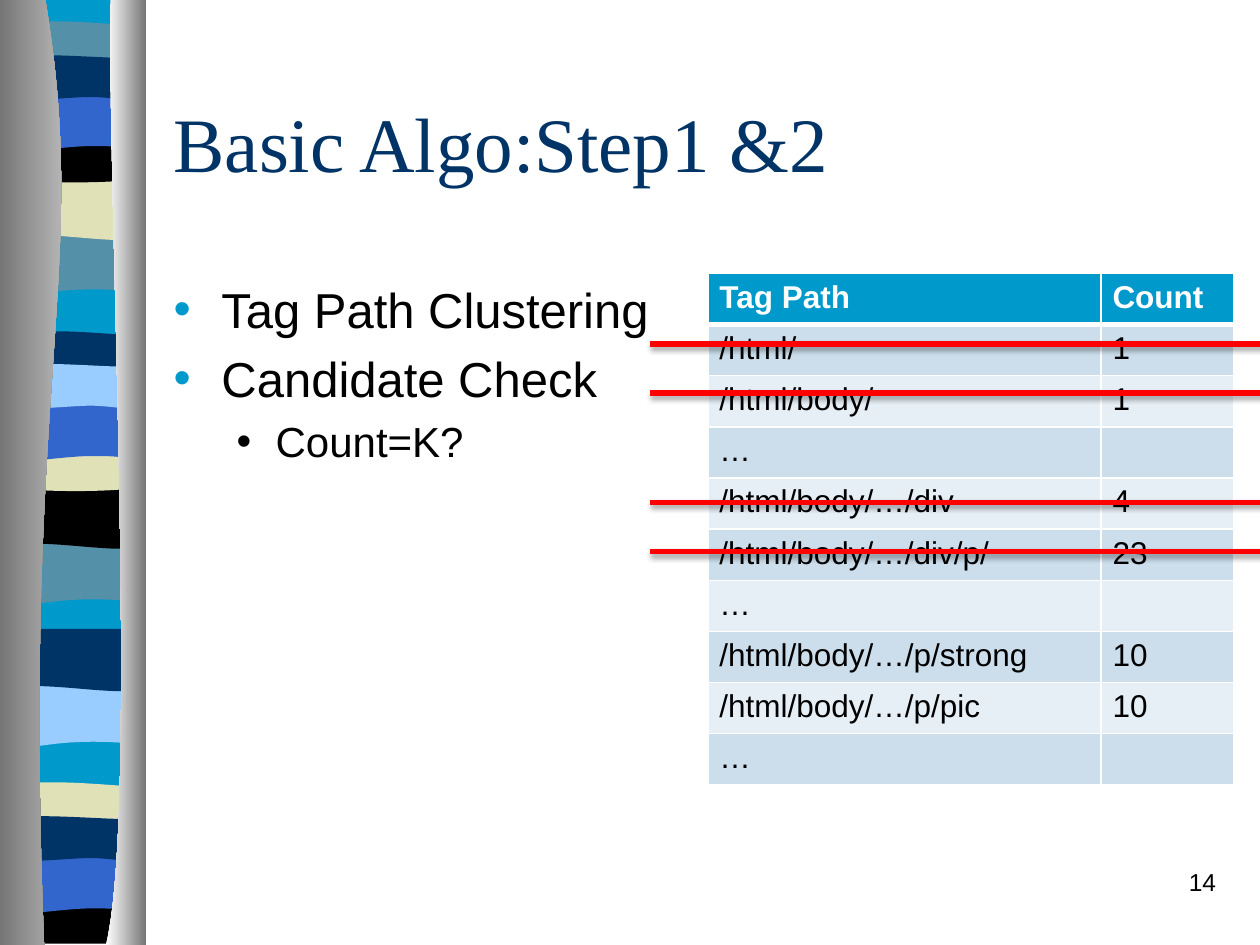
from lxml import etree
from pptx import Presentation
from pptx.dml.color import RGBColor
from pptx.enum.shapes import MSO_CONNECTOR
from pptx.enum.text import MSO_ANCHOR, PP_ALIGN
from pptx.oxml.ns import qn
from pptx.util import Inches, Pt

STRAIGHT = MSO_CONNECTOR.STRAIGHT
MIDDLE = MSO_ANCHOR.MIDDLE
TOP = MSO_ANCHOR.TOP
LEFT = PP_ALIGN.LEFT
RIGHT = PP_ALIGN.RIGHT

BLACK = RGBColor(0x00, 0x00, 0x00)
WHITE = RGBColor(0xFF, 0xFF, 0xFF)
NAVY = RGBColor(0x00, 0x33, 0x66)
CYAN = RGBColor(0x00, 0x99, 0xCC)
TEAL = RGBColor(0x54, 0x90, 0xA8)
SAND = RGBColor(0xE1, 0xE1, 0xB7)
BLUE = RGBColor(0x33, 0x66, 0xCC)
SKY = RGBColor(0x99, 0xCC, 0xFF)
RED = RGBColor(0xFF, 0x00, 0x00)
DARK_GRAY = RGBColor(0x76, 0x76, 0x76)
LIGHT_GRAY = RGBColor(0xD1, 0xD1, 0xD1)
ROW_DARK = RGBColor(0xCC, 0xDE, 0xEC)
ROW_LIGHT = RGBColor(0xE7, 0xEF, 0xF6)

OUTLINES = {
    "backing": [[(1.09, 0)], [(1.09, 7.47)], [(0, 7.47)], [(0, 0)]],
    "swoop": [[(1.09, 0)], [(1.09, 0.47)], [(0.34, 0.39), (0.19, 0.55), (0, 0.47)], [(0, 0)]],
    "ripple": [[(1.09, 0)], [(1.09, 0.47)], [(0.91, 0.55), (0.34, 0.41), (0, 0.47)], [(0, 0)]],
    "ledge": [[(1.09, 0.05)], [(1.09, 0.29)], [(0.91, 0.34), (0.19, 0.34), (0, 0.29)], [(0, 0.05)],
              [(0.07, 0), (0.24, 0.01), (0.42, 0.01)], [(0.6, 0.01), (0.95, 0.04), (1.09, 0.05)]],
    "bowl": [[(1.09, 0)], [(1.09, 0.33)], [(0.91, 0.38), (0.19, 0.38), (0, 0.33)], [(0, 0)],
             [(0.66, 0.05), (0.85, 0), (1.09, 0)]],
    "arch": [[(1.09, 0)], [(1.09, 0.47)], [(0.92, 0.42), (0.85, 0.42), (0.67, 0.42)],
             [(0.49, 0.42), (0.17, 0.47), (0, 0.47)], [(0, 0)]],
    "crest": [[(1.09, 0.05)], [(1.09, 0.36)], [(1.02, 0.41), (0.85, 0.36), (0.67, 0.36)],
              [(0.49, 0.36), (0.12, 0.41), (0, 0.36)], [(0, 0.05)],
              [(0.16, 0), (0.74, 0.05), (0.92, 0.05)], [(1.1, 0.05), (1.05, 0.05), (1.09, 0.05)]],
    "base": [[(1.09, 0)], [(1.09, 0.37)], [(0, 0.37)], [(0, 0)],
             [(0.66, 0.05), (0.85, 0), (1.09, 0)]],
}
BANDS = [
    ("backing", 0, CYAN),
    ("swoop", 1.85, TEAL), ("ripple", 1.41, SAND), ("ledge", 0.16, TEAL), ("bowl", 1.08, BLACK),
    ("arch", 0.74, BLUE), ("crest", 0.41, NAVY), ("swoop", 4.31, TEAL), ("ripple", 3.86, BLACK),
    ("ledge", 2.62, NAVY), ("bowl", 3.53, SAND), ("arch", 3.2, BLUE), ("crest", 2.86, SKY),
    ("swoop", 5.44, SKY), ("ripple", 4.99, NAVY), ("ledge", 6.2, SAND), ("base", 7.12, BLACK),
    ("arch", 6.79, BLUE), ("crest", 6.45, NAVY),
]
LEFT_PILLAR = [[(0.36, 0)], [(0.72, 2.16), (0.17, 2.96), (0.35, 7.5)], [(0, 7.5)], [(0, 0)]]
RIGHT_PILLAR = [[(0.88, 0)], [(0.84, 1.25), (1.11, 6.46), (0.84, 7.5)], [(1.16, 7.5)], [(1.16, 0)]]
PILLARS = [(LEFT_PILLAR, (DARK_GRAY, LIGHT_GRAY)), (RIGHT_PILLAR, (WHITE, DARK_GRAY))]

BULLETS = [("Tag Path Clustering", 0, 28, CYAN), ("Candidate Check", 0, 28, CYAN), ("Count=K?", 1, 24, BLACK)]
INDENTS = [(0.38, -0.38), (0.81, -0.31)]
ROWS = [
    ("Tag Path", "Count"), ("/html/", "1"), ("/html/body/", "1"), ("…", ""),
    ("/html/body/…/div", "4"), ("/html/body/…/div/p/", "23"), ("…", ""),
    ("/html/body/…/p/strong", "10"), ("/html/body/…/p/pic", "10"), ("…", ""),
]
STRIKE_OFFSETS = [0.56, 0.95, 2.21, 1.82]


def add_outline(slide, left, top, steps):
    """Add a closed freeform whose one-point steps are lines and three-point steps are curves."""
    points = [(Inches(left + x), Inches(top + y)) for step in steps for x, y in step]
    builder = slide.shapes.build_freeform(*points[0], scale=1.0)
    builder.add_line_segments(points[1:], close=True)
    shape = builder.convert_to_shape()
    segments = iter(list(shape._element.spPr.iter(qn("a:lnTo"))))
    for step in steps[1:]:
        first, *others = [next(segments) for _ in step]
        if others:
            first.tag = qn("a:cubicBezTo")
            for segment in others:
                first.append(segment[0])
                segment.getparent().remove(segment)
    shape.shadow.inherit = False
    shape.line.fill.background()
    return shape


def add_ribbon(slide, left, top):
    """Add the striped ribbon between its two shaded pillars."""
    for outline, offset, color in BANDS:
        band = add_outline(slide, left + 0.05, top + offset, OUTLINES[outline])
        band.fill.solid()
        band.fill.fore_color.rgb = color
    for steps, colors in PILLARS:
        pillar = add_outline(slide, left, top, steps)
        pillar.fill.gradient()
        pillar.fill.gradient_angle = 0
        for stop, color in zip(pillar.fill.gradient_stops, colors):
            stop.color.rgb = color


def style(paragraph, size, color, name="Arial", bold=False):
    """Set the font of a paragraph."""
    font = paragraph.font
    font.size, font.name, font.bold = Pt(size), name, bold
    font.color.rgb = color


def add_text(slide, box, text, size, color, name="Arial", anchor=TOP, alignment=LEFT):
    """Add a wrapped text box holding one paragraph."""
    frame = slide.shapes.add_textbox(*map(Inches, box)).text_frame
    frame.word_wrap = True
    frame.vertical_anchor = anchor
    paragraph = frame.paragraphs[0]
    paragraph.text = text
    paragraph.alignment = alignment
    style(paragraph, size, color, name)


def add_bullets(slide, box):
    """Add the bulleted list of steps."""
    frame = slide.shapes.add_textbox(*map(Inches, box)).text_frame
    frame.word_wrap = True
    for index, (text, level, size, bullet_color) in enumerate(BULLETS):
        paragraph = frame.add_paragraph() if index else frame.paragraphs[0]
        paragraph.text = text
        paragraph.level = level
        if index:
            paragraph.space_before = Pt(size * 0.2)
        properties = paragraph._p.get_or_add_pPr()
        margin, indent = INDENTS[level]
        properties.set("marL", str(Inches(margin)))
        properties.set("indent", str(Inches(indent)))
        color = etree.SubElement(properties, qn("a:buClr"))
        etree.SubElement(color, qn("a:srgbClr"), val=str(bullet_color))
        etree.SubElement(properties, qn("a:buFont"), typeface="Arial")
        etree.SubElement(properties, qn("a:buChar"), char="•")
        style(paragraph, size, BLACK)


def add_borders(cell, top_width, bottom_width):
    """Draw white borders around a cell."""
    properties = cell._tc.get_or_add_tcPr()
    widths = {"a:lnL": 1, "a:lnR": 1, "a:lnT": top_width, "a:lnB": bottom_width}
    for position, (tag, width) in enumerate(widths.items()):
        line = etree.Element(qn(tag), w=str(Pt(width)))
        fill = etree.SubElement(line, qn("a:solidFill"))
        etree.SubElement(fill, qn("a:srgbClr"), val=str(WHITE))
        properties.insert(position, line)


def add_count_table(slide, box):
    """Add the table of tag paths and their counts."""
    table = slide.shapes.add_table(len(ROWS), 2, *map(Inches, box)).table
    for column, width in zip(table.columns, (3.12, 1.05)):
        column.width = Inches(width)
    for row_index, values in enumerate(ROWS):
        header = row_index == 0
        row_fill = CYAN if header else (ROW_LIGHT, ROW_DARK)[row_index % 2]
        for column_index, value in enumerate(values):
            cell = table.cell(row_index, column_index)
            cell.text = value
            cell.margin_left = cell.margin_right = Inches(0.09)
            cell.fill.solid()
            cell.fill.fore_color.rgb = row_fill
            style(cell.text_frame.paragraphs[0], 18, WHITE if header else BLACK, bold=header)
            add_borders(cell, 3 if row_index == 1 else 1, 3 if header else 1)


def add_strikes(slide, left, top, width):
    """Add the shadowed red lines that strike out table rows."""
    for offset in STRIKE_OFFSETS:
        y = Inches(top + offset)
        strike = slide.shapes.add_connector(STRAIGHT, Inches(left), y, Inches(left + width), y)
        strike.line.color.rgb = RED
        strike.line.width = Pt(3)
        effects = etree.SubElement(strike._element.spPr, qn("a:effectLst"))
        shadow = etree.SubElement(effects, qn("a:outerShdw"), blurRad=str(Pt(3.1)), dist=str(Pt(1.8)),
                                  dir="5400000", rotWithShape="0")
        color = etree.SubElement(shadow, qn("a:srgbClr"), val=str(BLACK))
        etree.SubElement(color, qn("a:alpha"), val="35000")


def main():
    """Build and save the slide."""
    presentation = Presentation()
    presentation.slide_width, presentation.slide_height = Inches(10), Inches(7.5)
    slide = presentation.slides.add_slide(presentation.slide_layouts[6])
    add_ribbon(slide, 0, 0)
    add_text(slide, (1.28, 0.5, 8.5, 1.25), "Basic Algo:Step1 &2", 44, NAVY, "Times New Roman", MIDDLE)
    add_bullets(slide, (1.28, 2.17, 4.17, 4.5))
    add_count_table(slide, (5.62, 2.17, 4.17, 4.06))
    add_strikes(slide, 5.16, 2.17, 4.88)
    add_text(slide, (7.67, 6.83, 2.08, 0.5), "14", 14, BLACK, alignment=RIGHT)
    presentation.save("out.pptx")


if __name__ == "__main__":
    main()
